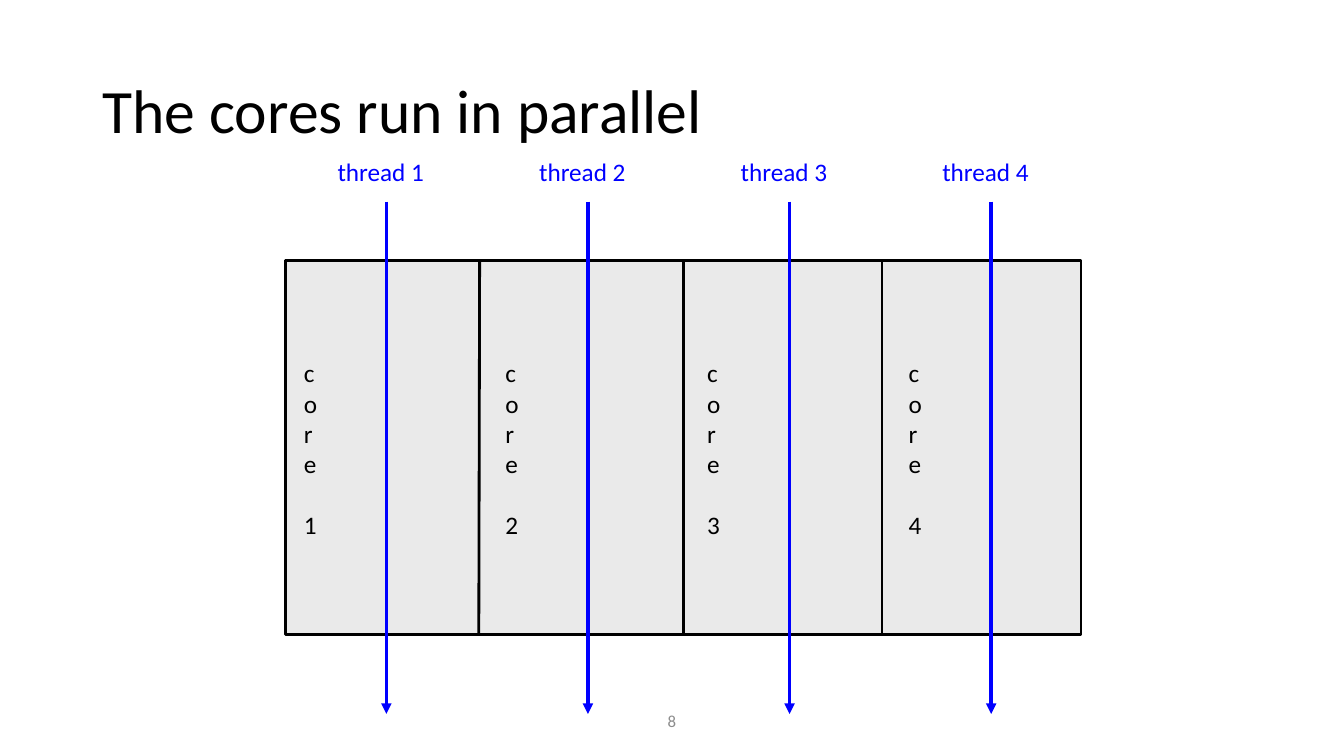
from dataclasses import dataclass

from lxml import etree
from pptx import Presentation
from pptx import util as u
from pptx.dml.color import RGBColor
from pptx.enum import shapes, text
from pptx.oxml.ns import qn

# The slide is a grid of 16 columns by 9 rows of square cells.
CELL = u.Inches(5 / 6)
FONT = "Calibri"
BLACK, BLUE, GREY, PALE = "000000", "0000FF", "8C8C8C", "EAEAEA"

LANE_PITCH = 2.4
CHIP_LEFT, CHIP_TOP, CHIP_WIDTH, CHIP_HEIGHT = 3.4, 3.1, 9.47, 4.45
THREAD_TOP, THREAD_BOTTOM = 2.4, 8.5


@dataclass(frozen=True)
class Box:
    left: float
    top: float
    width: float
    height: float

    def lengths(self) -> list[u.Emu]:
        return [cells(n) for n in (self.left, self.top, self.width, self.height)]


@dataclass(frozen=True)
class Divider:
    top_column: float
    bottom_column: float


@dataclass(frozen=True)
class Lane:
    number: int

    @property
    def offset(self) -> float:
        return (self.number - 1) * LANE_PITCH


DIVIDERS = [Divider(5.71, 5.7), Divider(8.14, 8.14), Divider(10.5, 10.5)]
LANES = [Lane(number) for number in range(1, 5)]


def cells(count: float) -> u.Emu:
    return u.Emu(round(count * CELL))


def colour(value: str) -> RGBColor:
    return RGBColor.from_string(value)


def write(shape, *lines: str, size: float = 18, fill: str = BLACK,
          align=text.PP_ALIGN.LEFT, anchor=text.MSO_ANCHOR.TOP, wrap: bool = True,
          fit=text.MSO_AUTO_SIZE.NONE, spacing: float = 1.0, gap: float = 0) -> None:
    """Put one paragraph per line in the shape, with gap points between them."""
    frame = shape.text_frame
    frame.text = "\n".join(lines)
    frame.word_wrap = wrap
    frame.auto_size = fit
    frame.vertical_anchor = anchor
    for index, paragraph in enumerate(frame.paragraphs):
        paragraph.alignment = align
        paragraph.line_spacing = spacing
        paragraph.space_before = u.Pt(gap if index else 0)
        font = paragraph.runs[0].font
        font.name, font.size = FONT, u.Pt(size)
        font.color.rgb = colour(fill)


def add_text(slide, box: Box, *lines: str, **style) -> None:
    write(slide.shapes.add_textbox(*box.lengths()), *lines, **style)


def add_line(slide, start: tuple[float, float], end: tuple[float, float],
             stroke: str, width: float, arrow: bool = False) -> None:
    line = slide.shapes.add_connector(
        shapes.MSO_CONNECTOR.STRAIGHT, *map(cells, start + end))
    line.line.color.rgb = colour(stroke)
    line.line.width = u.Pt(width)
    if arrow:
        etree.SubElement(line.line._get_or_add_ln(), qn("a:tailEnd"), type="triangle")
    etree.SubElement(line._element.spPr, qn("a:effectLst"))


def add_title(slide, title: str) -> None:
    shape = slide.shapes.title
    shape.left, shape.top, shape.width, shape.height = Box(1.1, 0.48, 13.8, 1.74).lengths()
    write(shape, title, size=44, anchor=text.MSO_ANCHOR.MIDDLE, spacing=0.9)


def add_chip(slide) -> None:
    box = Box(CHIP_LEFT, CHIP_TOP, CHIP_WIDTH, CHIP_HEIGHT)
    chip = slide.shapes.add_shape(shapes.MSO_SHAPE.RECTANGLE, *box.lengths())
    chip.shadow.inherit = False
    chip.fill.solid()
    chip.fill.fore_color.rgb = colour(PALE)
    chip.line.color.rgb = colour(BLACK)
    chip.line.width = u.Pt(2)
    for divider in DIVIDERS:
        add_line(slide, (divider.top_column, CHIP_TOP),
                 (divider.bottom_column, CHIP_TOP + CHIP_HEIGHT), BLACK, 2)


def add_core_label(slide, lane: Lane) -> None:
    """Name the core in a box so narrow that its letters stack."""
    add_text(slide, Box(3.5 + lane.offset, 4.2, 0.43, 2.28), "core", str(lane.number),
             fit=text.MSO_AUTO_SIZE.SHAPE_TO_FIT_TEXT, gap=22)


def add_thread(slide, lane: Lane) -> None:
    column = 4.6 + lane.offset
    add_line(slide, (column, THREAD_TOP), (column, THREAD_BOTTOM), BLUE, 2.5, arrow=True)
    add_text(slide, Box(3.9 + lane.offset, 1.8, 1.28, 0.48), f"thread {lane.number}",
             fill=BLUE, wrap=False, fit=text.MSO_AUTO_SIZE.SHAPE_TO_FIT_TEXT)


def main() -> None:
    presentation = Presentation()
    presentation.slide_width, presentation.slide_height = cells(16), cells(9)
    title_only = presentation.slide_layouts[5]
    slide = presentation.slides.add_slide(title_only)
    add_title(slide, "The cores run in parallel")
    add_text(slide, Box(5.3, 8.34, 5.4, 0.48), "8", size=12, fill=GREY,
             align=text.PP_ALIGN.CENTER, anchor=text.MSO_ANCHOR.MIDDLE)
    add_chip(slide)
    for lane in LANES:
        add_core_label(slide, lane)
        add_thread(slide, lane)
    presentation.save("out.pptx")


if __name__ == "__main__":
    main()
